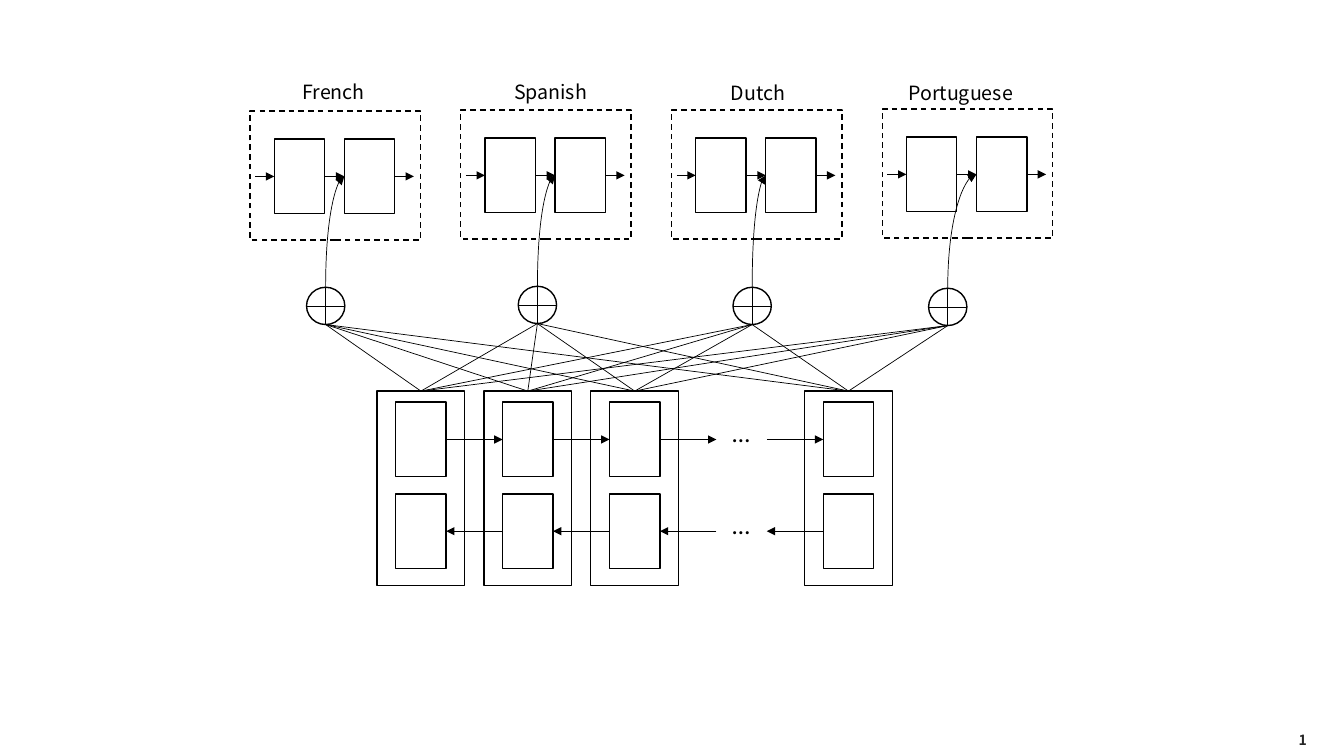
import pptx
import pptx.util
import pptx.dml.color
import pptx.enum.dml
import pptx.enum.shapes
import pptx.enum.text
import pptx.oxml
import pptx.oxml.ns
from lxml import etree
from dataclasses import dataclass

Inches = pptx.util.Inches
Pt = pptx.util.Pt
qn = pptx.oxml.ns.qn
Kind = pptx.enum.shapes.MSO_SHAPE
Link = pptx.enum.shapes.MSO_CONNECTOR


@dataclass
class Theme:
    ink = pptx.dml.color.RGBColor(0, 0, 0)
    number_ink = pptx.dml.color.RGBColor(0x26, 0x26, 0x26)
    label_font = "Noto Sans CJK SC"
    dots_font = "Calibri"
    label_size = Pt(14)
    dots_size = Pt(18)
    number_size = Pt(10)
    outline = Pt(1)
    thin = Pt(0.5)


theme = Theme()
presentation = pptx.Presentation()
presentation.slide_width = Inches(13.33)
presentation.slide_height = Inches(7.5)
slide = presentation.slides.add_slide(presentation.slide_layouts[6])


def write_text(text, at, font, size, color=theme.ink, bold=False, wrap=False,
               anchor=pptx.enum.text.MSO_ANCHOR.TOP):
    frame = slide.shapes.add_textbox(*map(Inches, at)).text_frame
    frame.word_wrap = wrap
    frame.vertical_anchor = anchor
    run = frame.paragraphs[0].add_run()
    run.text = text
    run.font.name = font
    run.font.size = size
    run.font.bold = bold
    run.font.color.rgb = color
    return frame


def draw_line(start, end, arrow=False, source=None, target=None, link=Link.STRAIGHT):
    line = slide.shapes.add_connector(link, *map(Inches, (*start, *end)))
    if source:
        line.begin_connect(*source)
    if target:
        line.end_connect(*target)
    line.line.color.rgb = theme.ink
    line.line.width = theme.thin
    properties = line._element.spPr
    if arrow:
        etree.SubElement(properties.find(qn("a:ln")), qn("a:tailEnd"), type="triangle")
    etree.SubElement(properties, qn("a:effectLst"))
    return line


cell_w, cell_h = 0.5, 0.74
unit_left, unit_top, unit_pitch, unit_w, unit_h = 3.74, 3.88, 1.06, 0.87, 1.93
cell_inset = (unit_w - cell_w) / 2
cell_top, cell_pitch = 3.99, 0.91
slots, dots_slot = range(5), 3
unit_slots = [slot for slot in slots if slot != dots_slot]
cell_x = [unit_left + slot * unit_pitch + cell_inset for slot in slots]
row_y = [cell_top + row * cell_pitch for row in range(2)]

decoder_left, decoder_pitch, decoder_w, decoder_h = 2.48, 2.09, 1.69, 1.28
step_x, step_y, step_pitch, step_gap = 0.24, 0.28, 0.695, 0.19
sum_w, sum_h = 0.38, 0.37
languages = [
    ("French", 1.10, 2.90, 0.74, 0.83, 3.04, 2.85),
    ("Spanish", 1.09, 5.00, 0.74, 0.93, 5.14, 2.84),
    ("Dutch", 1.09, 7.15, 0.75, 0.76, 7.27, 2.85),
    ("Portuguese", 1.08, 8.91, 0.75, 1.28, 9.21, 2.86),
]

outlines = {}
for slot in unit_slots:
    outlines["unit", slot] = (unit_left + slot * unit_pitch, unit_top, unit_w, unit_h)
    for row, y in enumerate(row_y):
        outlines["cell", slot, row] = (cell_x[slot], y, cell_w, cell_h)
for column, (language, top, _, _, _, sum_x, sum_y) in enumerate(languages):
    left = decoder_left + column * decoder_pitch
    outlines["decoder", language] = (left, top, decoder_w, decoder_h)
    for step in range(2):
        outlines["step", language, step] = (
            left + step_x + step * step_pitch, top + step_y, cell_w, cell_h)
    outlines["sum", language] = (sum_x, sum_y, sum_w, sum_h)

parts = {}
for key, place in outlines.items():
    part = slide.shapes.add_shape(
        Kind.OVAL if key[0] == "sum" else Kind.RECTANGLE, *map(Inches, place))
    part.shadow.inherit = False
    part.fill.background()
    part.line.color.rgb = theme.ink
    part.line.width = theme.outline
    if key[0] == "decoder":
        part.line.dash_style = pptx.enum.dml.MSO_LINE.DASH
    parts[key] = part

for row, y in enumerate(row_y):
    middle = y + cell_h / 2
    for slot in slots[:-1]:
        before, after = parts.get(("cell", slot, row)), parts.get(("cell", slot + 1, row))
        ends = [((cell_x[slot] + cell_w, middle), before and (before, 3)),
                ((cell_x[slot + 1], middle), after and (after, 1))]
        if row == 1:
            ends.reverse()
        (start, source), (end, target) = ends
        draw_line(start, end, True, source, target)
    write_text("…", (cell_x[dots_slot] + 0.06, middle - 0.27, 0.38, 0.4),
               font=theme.dots_font, size=theme.dots_size)

for language, top, label_x, label_y, label_w, sum_x, sum_y in languages:
    write_text(language, (label_x, label_y, label_w, 0.34),
               font=theme.label_font, size=theme.label_size)
    center_x, center_y = sum_x + sum_w / 2, sum_y + sum_h / 2
    bottom = (center_x, sum_y + sum_h)
    draw_line((sum_x, center_y), (sum_x + sum_w, center_y))
    draw_line((center_x, sum_y), bottom)
    for slot in unit_slots:
        unit_center = unit_left + slot * unit_pitch + unit_w / 2
        draw_line((unit_center, unit_top), bottom, source=(parts["unit", slot], 0))

    first, second = parts["step", language, 0], parts["step", language, 1]
    first_x = outlines["step", language, 0][0]
    second_x = first_x + step_pitch
    middle = top + step_y + cell_h / 2
    draw_line((first_x - step_gap, middle), (first_x, middle), True, target=(first, 1))
    draw_line((first_x + cell_w, middle), (second_x, middle), True, (first, 3), (second, 1))
    draw_line((second_x + cell_w, middle), (second_x + cell_w + step_gap, middle), True,
              source=(second, 3))

    rise, run_length = sum_y - middle, second_x - center_x
    curve = draw_line((center_x + run_length / 2 - rise / 2, middle + rise / 2 - run_length / 2),
                      (center_x + run_length / 2 + rise / 2, middle + rise / 2 + run_length / 2),
                      True, link=Link.CURVE)
    curve_properties = curve._element.spPr
    curve_properties.find(qn("a:prstGeom")).set("prst", "curvedConnector2")
    for name, value in (("rot", "5400000"), ("flipH", "1"), ("flipV", "1")):
        curve_properties.find(qn("a:xfrm")).set(name, value)

page_number = write_text("1", (12.77, 7.16, 1.38, 0.36), font=theme.label_font,
                         size=theme.number_size, color=theme.number_ink, bold=True,
                         wrap=True, anchor=pptx.enum.text.MSO_ANCHOR.MIDDLE)
page_number.margin_left = page_number.margin_right = Inches(0.11)
page_number.margin_top = page_number.margin_bottom = Inches(0.06)

presentation.save("out.pptx")
